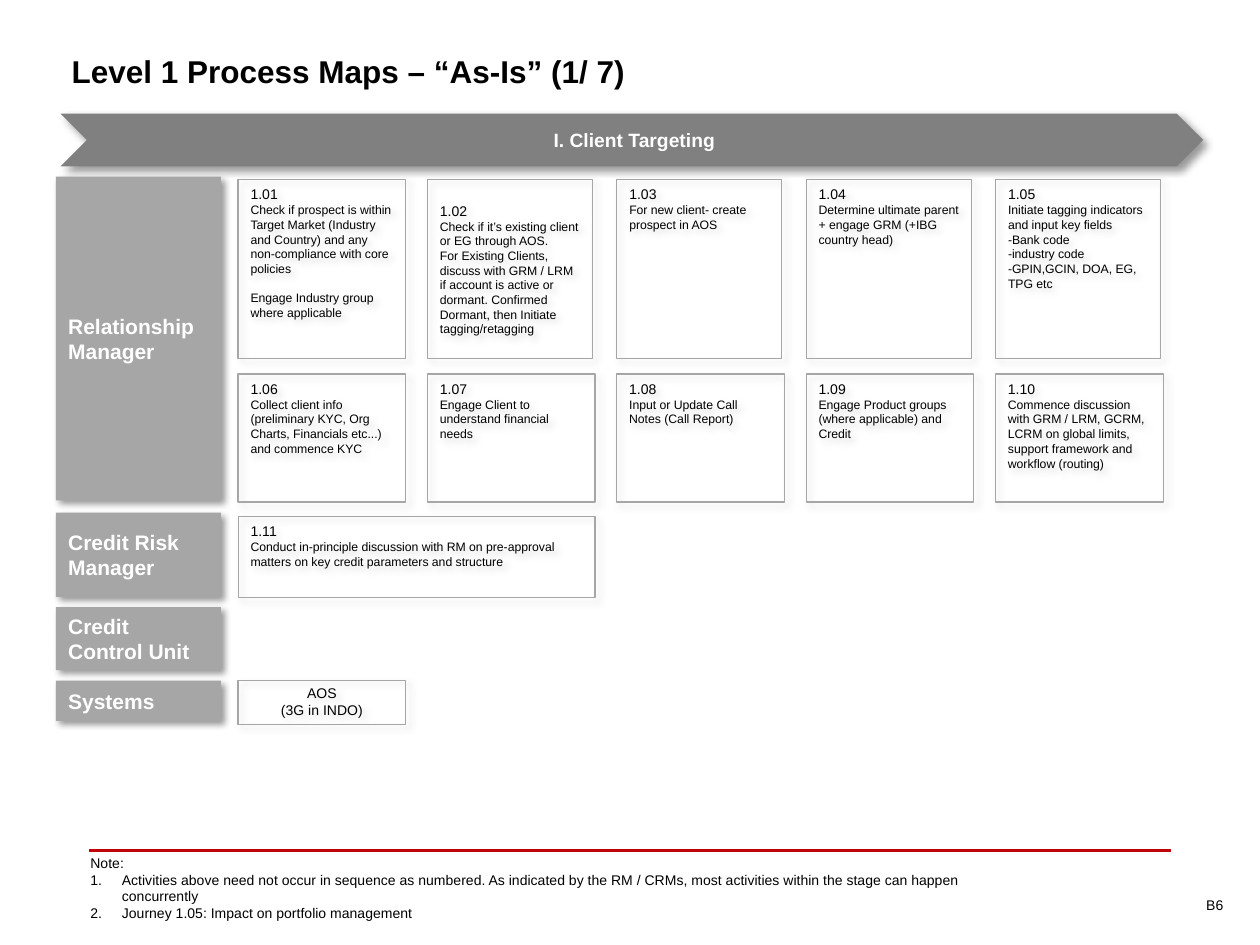
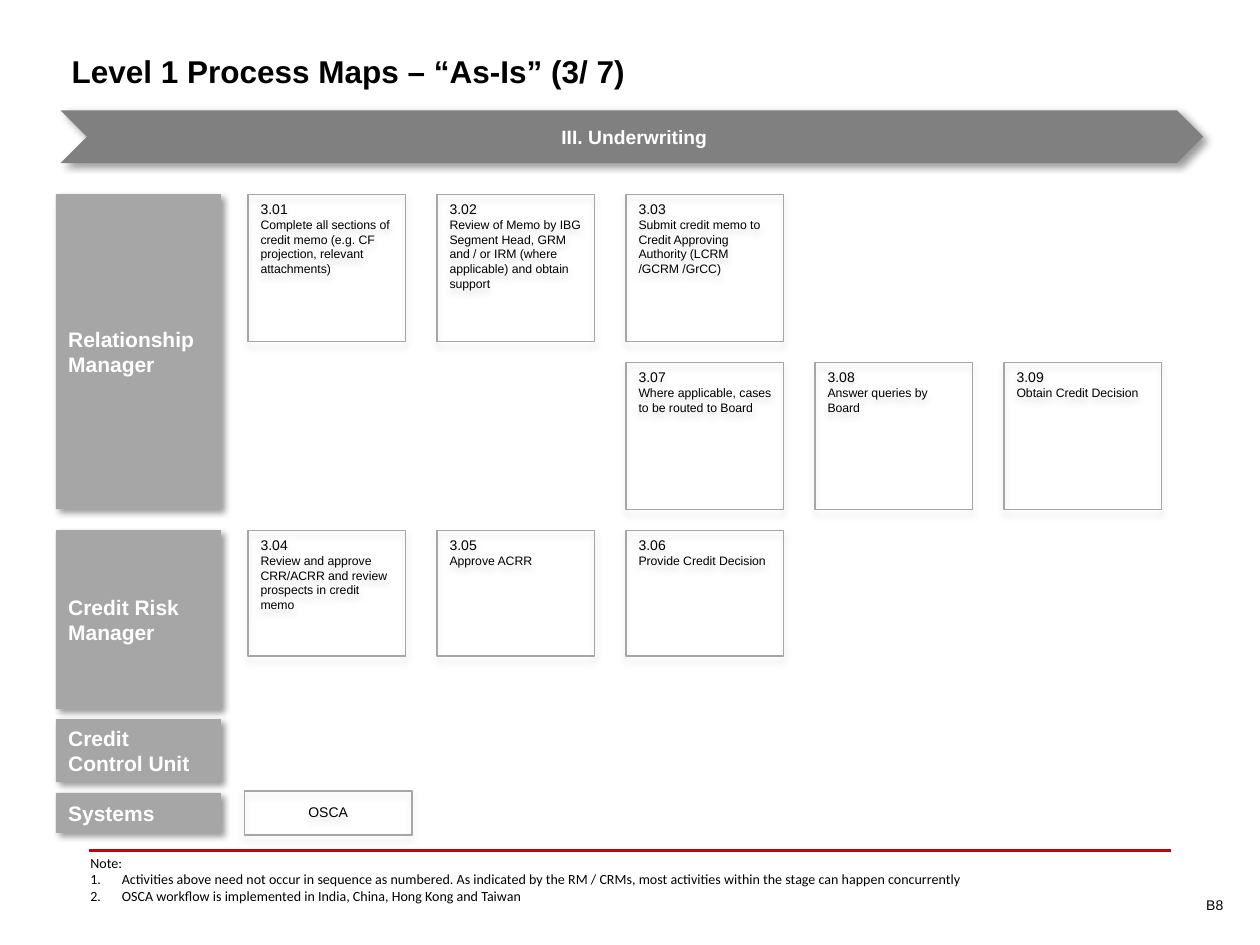
from dataclasses import dataclass

from lxml import etree
from pptx import Presentation
from pptx.dml.color import RGBColor
from pptx.enum import shapes, text
from pptx.oxml import ns
from pptx.util import Pt

HUES = {"ink": "000000", "paper": "FFFFFF", "band": "808080",
        "grey": "A6A6A6", "rule": "BE050A"}
FONT = "Arial"
PAD = (7.2, 3.6, 7.2, 3.6)
LEFT, MID = text.PP_ALIGN.LEFT, text.MSO_ANCHOR.MIDDLE
TOP, CENTER = text.MSO_ANCHOR.TOP, text.PP_ALIGN.CENTER
RECT = shapes.MSO_SHAPE.RECTANGLE


@dataclass
class Box:
    left: float
    top: float
    width: float
    height: float

    def emu(self) -> tuple:
        return Pt(self.left), Pt(self.top), Pt(self.width), Pt(self.height)


@dataclass
class Line:
    """One paragraph of text."""
    words: str
    size: float
    hue: str = "ink"
    bold: bool = False
    align: int = LEFT
    font: str = FONT
    before: float = 0
    auto: bool = False


@dataclass
class Card:
    """One activity: grid column, number and text."""
    col: int
    num: str
    body: str
    width: float = 0
    anchor: int = TOP
    gap: int = -1  # body paragraph that stands apart


@dataclass
class Row:
    top: float
    height: float
    width: float
    cards: list


@dataclass
class Lane:
    name: str
    top: float
    height: float


@dataclass
class Page:
    title: str
    stage: str
    band: float
    left: float
    step: float
    angle: int
    rows: list
    lanes: list
    system: Box
    tools: list
    notes: list
    face: str
    depth: float
    number: str


def rgb(hue: str) -> RGBColor:
    return RGBColor.from_string(HUES[hue])


def effect(item, hue: str = "", angle: int = 45) -> None:
    """Give a shape a soft shadow, or none when no hue is named."""
    props = item._element.spPr
    for old in props.findall(ns.qn("a:effectLst")):
        props.remove(old)
    fx = etree.SubElement(props, ns.qn("a:effectLst"))
    if hue:
        shade = etree.SubElement(
            fx, ns.qn("a:outerShdw"), blurRad=str(Pt(4)), dist=str(Pt(3)),
            dir=str(angle * 60000), algn="tl", rotWithShape="0")
        tint = etree.SubElement(shade, ns.qn("a:srgbClr"), val=HUES[hue])
        etree.SubElement(tint, ns.qn("a:alpha"), val="40000")


def write(item, lines: list, anchor: int = TOP, pad: tuple = PAD) -> None:
    frame = item.text_frame
    frame.word_wrap = True
    frame.vertical_anchor = anchor
    (frame.margin_left, frame.margin_top,
     frame.margin_right, frame.margin_bottom) = map(Pt, pad)
    for i, line in enumerate(lines):
        para = frame.add_paragraph() if i else frame.paragraphs[0]
        para.text = line.words
        para.alignment = line.align
        if line.before:
            para.space_before = Pt(line.before)
        if line.auto:
            props = para._p.get_or_add_pPr()
            props.set("marL", str(Pt(18)))
            props.set("indent", str(-Pt(18)))
            etree.SubElement(props, ns.qn("a:buAutoNum"), type="arabicPeriod")
        font = para.font
        font.name, font.size, font.bold = line.font, Pt(line.size), line.bold
        font.color.rgb = rgb(line.hue)


def label(slide, box: Box, lines: list, anchor: int = TOP,
          pad: tuple = PAD) -> None:
    write(slide.shapes.add_textbox(*box.emu()), lines, anchor, pad)


def solid(slide, kind: int, box: Box, hue: str):
    """Filled shape with a dark shadow."""
    item = slide.shapes.add_shape(kind, *box.emu())
    item.fill.solid()
    item.fill.fore_color.rgb = rgb(hue)
    item.line.fill.background()
    effect(item, "ink")
    return item


def frame(slide, box: Box, lines: list, angle: int, anchor: int = TOP,
          pad: tuple = PAD) -> None:
    """Outlined box with a grey shadow."""
    item = slide.shapes.add_shape(RECT, *box.emu())
    item.fill.background()
    item.line.color.rgb = rgb("grey")
    item.line.width = Pt(0.75)
    effect(item, "grey", angle)
    write(item, lines, anchor, pad)


def base(slide, page: Page) -> None:
    """Rule, title, notes and page number."""
    rule = slide.shapes.add_connector(
        shapes.MSO_CONNECTOR.STRAIGHT, Pt(51), Pt(486), Pt(669), Pt(486))
    rule.line.color.rgb = rgb("rule")
    rule.line.width = Pt(1.5)
    effect(rule)
    title = slide.shapes.title
    title.left, title.top, title.width, title.height = Box(
        33.8, 17.3, 653, 46.8).emu()
    write(title, [Line(page.title, 18, bold=True)], MID)
    notes = [Line("Note:", 8, font=page.face)]
    notes += [Line(n, 8, font=page.face, auto=True) for n in page.notes]
    label(slide, Box(44.6, 484.6, 537.8, page.depth), notes)
    label(slide, Box(622, 501.8, 84.2, 30.2),
          [Line(page.number, 8, align=text.PP_ALIGN.RIGHT)], MID)


def build(deck, page: Page) -> None:
    slide = deck.slides.add_slide(deck.slide_layouts[5])
    base(slide, page)
    # Stage band
    solid(slide, shapes.MSO_SHAPE.CHEVRON, Box(34.6, page.band, 653, 30.2),
          "band")
    label(slide, Box(49.7, page.band, 623.5, 30.2),
          [Line(page.stage, 11, "paper", True, CENTER)], MID,
          (3.6, 1.44, 1.44, 1.44))
    # Activity cards
    for row in page.rows:
        for card in row.cards:
            lines = [Line(card.num, 8)]
            lines += [Line(words, 7, before=8 if i == card.gap else 0)
                      for i, words in enumerate(card.body.split("\n"))]
            box = Box(page.left + card.col * page.step, row.top,
                      card.width or row.width, row.height)
            frame(slide, box, lines, page.angle, card.anchor)
    frame(slide, page.system, [Line(t, 8, align=CENTER) for t in page.tools],
          page.angle, MID, (7.2, 2.16, 7.2, 3.6))
    # Role lanes
    for lane in page.lanes:
        item = solid(slide, RECT, Box(31.9, lane.top, 94.3, lane.height),
                     "grey")
        write(item, [Line(lane.name, 12, "paper", True)], MID)


ROLES = ("Relationship Manager", "Credit Risk Manager",
         "Credit Control Unit", "Systems")
ORDER = ("Activities above need not occur in sequence as numbered. As "
         "indicated by the RM / CRMs, most activities within the stage can "
         "happen concurrently")


def lanes(*spans: tuple) -> list:
    return [Lane(name, *span) for name, span in zip(ROLES, spans)]


TARGET = Page(
    "Level 1 Process Maps – “As-Is” (1/ 7)", "I. Client Targeting",
    band=64.9, left=136.1, step=108.2, angle=45,
    rows=[
        Row(102.7, 102.2, 94.3, [
            Card(0, "1.01", "Check if prospect is within Target Market "
                 "(Industry and Country) and any non-compliance with core "
                 "policies\nEngage Industry group where applicable",
                 width=95.8, gap=1),
            Card(1, "1.02", "Check if it’s existing client or EG through "
                 "AOS.\nFor Existing Clients, discuss with GRM / LRM if "
                 "account is active or dormant. Confirmed Dormant, then "
                 "Initiate tagging/retagging", anchor=MID),
            Card(2, "1.03", "For new client- create prospect in AOS"),
            Card(3, "1.04", "Determine ultimate parent + engage GRM (+IBG "
                 "country head)"),
            Card(4, "1.05", "Initiate tagging indicators and input key "
                 "fields\n-Bank code\n-industry code\n"
                 "-GPIN,GCIN, DOA, EG, TPG etc")]),
        Row(213.8, 73.2, 95.8, [
            Card(0, "1.06", "Collect client info (preliminary KYC, Org "
                 "Charts, Financials etc...) and commence KYC"),
            Card(1, "1.07", "Engage Client to understand financial needs"),
            Card(2, "1.08", "Input or Update Call Notes (Call Report)"),
            Card(3, "1.09", "Engage Product groups (where applicable) and "
                 "Credit"),
            Card(4, "1.10", "Commence discussion with GRM / LRM, GCRM, LCRM "
                 "on global limits, support framework and workflow "
                 "(routing)")]),
        Row(295.2, 46.5, 204, [
            Card(0, "1.11", "Conduct in-principle discussion with RM on "
                 "pre-approval matters on key credit parameters and "
                 "structure")])],
    lanes=lanes((101, 185), (293, 48.2), (347, 36), (389, 23)),
    system=Box(136.1, 388.8, 95.8, 25.2), tools=["AOS", "(3G in INDO)"],
    notes=[ORDER, "Journey 1.05: Impact on portfolio management"],
    face=FONT, depth=46, number="B6")

UNDER = Page(
    "Level 1 Process Maps – “As-Is” (3/ 7)", "III. Underwriting",
    band=63, left=141.8, step=108, angle=90,
    rows=[
        Row(111, 84.2, 90, [
            Card(0, "3.01", "Complete all sections of credit memo (e.g. CF "
                 "projection, relevant attachments)"),
            Card(1, "3.02", "Review of Memo by IBG Segment Head, GRM and / "
                 "or IRM (where applicable) and obtain support"),
            Card(2, "3.03", "Submit credit memo to Credit Approving "
                 "Authority (LCRM /GCRM /GrCC)")]),
        Row(303, 72, 90, [
            Card(0, "3.04", "Review and approve CRR/ACRR and review "
                 "prospects in credit memo"),
            Card(1, "3.05", "Approve ACRR"),
            Card(2, "3.06", "Provide Credit Decision")]),
        Row(207, 84.2, 90, [
            Card(2, "3.07", "Where applicable, cases to be routed to Board"),
            Card(3, "3.08", "Answer queries by Board"),
            Card(4, "3.09", "Obtain Credit Decision")])],
    lanes=lanes((111, 180), (303, 102.2), (411, 36), (453, 23)),
    system=Box(139.7, 452, 95.8, 25.2), tools=["OSCA"],
    notes=[ORDER, "OSCA workflow is implemented in India, China, Hong Kong "
           "and Taiwan"],
    face="Calibri", depth=36, number="B8")


def main() -> None:
    deck = Presentation()
    deck.slide_width, deck.slide_height = Pt(720), Pt(540)
    for page in (TARGET, UNDER):
        build(deck, page)
    deck.save("out.pptx")


if __name__ == "__main__":
    main()
